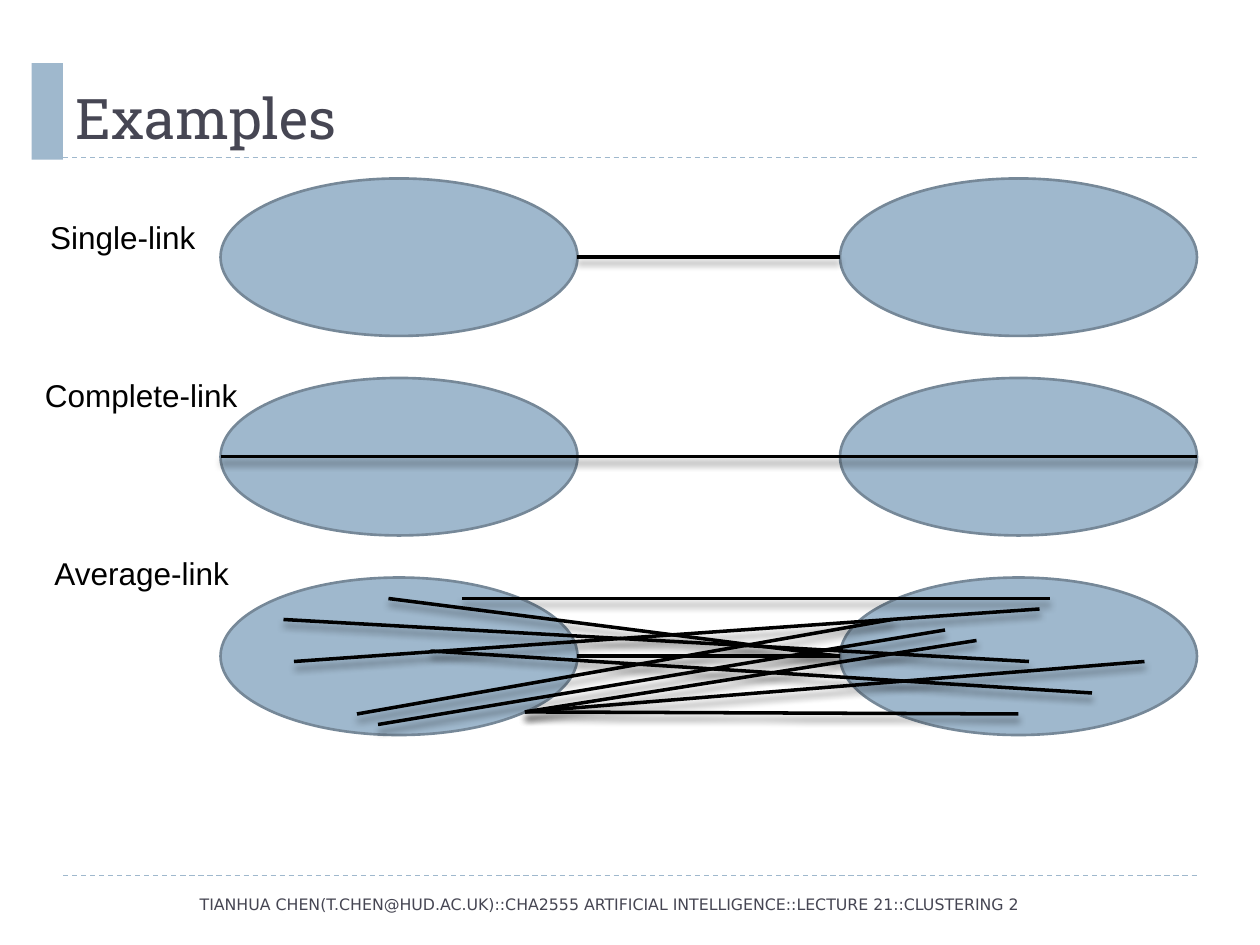
from dataclasses import dataclass

import pptx
import pptx.dml.color
import pptx.enum.dml
import pptx.enum.shapes
import pptx.enum.text
import pptx.oxml
import pptx.oxml.ns
import pptx.util

PX = 914400 // 120  # 120 px to the inch


@dataclass(frozen=True)
class Theme:
    accent: str = "9FB8CD"
    outline: str = "768898"
    heading: str = "464653"
    ink: str = "000000"
    title_font: str = "Roboto Slab"
    label_font: str = "Arial"
    footer_font: str = "DejaVu Sans"
    title_size: int = 32
    label_size: int = 18
    footer_size: int = 9


@dataclass(frozen=True)
class Box:
    left: int
    top: int
    width: int
    height: int

    def emu(self) -> list[int]:
        return [v * PX for v in (self.left, self.top, self.width, self.height)]


@dataclass(frozen=True)
class Link:
    x1: int
    y1: int
    x2: int
    y2: int


@dataclass(frozen=True)
class Linkage:
    name: str
    label: Box
    links: list[Link]


THEME = Theme()
CLUSTER_LEFTS = (210, 800)
CLUSTER_WIDTH, CLUSTER_HEIGHT = 340, 150
FIRST_ROW, ROW_PITCH = 170, 190

LINKAGES = [
    Linkage("Single-link", Box(36, 202, 164, 48), [Link(550, 245, 800, 245)]),
    Linkage("Complete-link", Box(31, 352, 209, 48), [Link(210, 435, 1140, 435)]),
    Linkage("Average-link", Box(40, 522, 192, 48), [
        Link(550, 625, 800, 625),
        Link(370, 570, 800, 625),
        Link(500, 678, 930, 610),
        Link(280, 630, 990, 580),
        Link(340, 680, 850, 590),
        Link(360, 690, 900, 600),
        Link(410, 620, 1040, 660),
        Link(440, 570, 1000, 570),
        Link(270, 590, 980, 630),
        Link(500, 678, 970, 680),
        Link(500, 678, 1090, 630),
    ]),
]

SHADOW = (
    f'<a:effectLst {pptx.oxml.ns.nsdecls("a")}>'
    '<a:outerShdw blurRad="50800" dist="43180" dir="5400000" rotWithShape="0">'
    f'<a:srgbClr val="{THEME.ink}"><a:alpha val="40000"/></a:srgbClr>'
    '</a:outerShdw></a:effectLst>'
)
NO_EFFECT = f'<a:effectLst {pptx.oxml.ns.nsdecls("a")}/>'


def rgb(value: str) -> pptx.dml.color.RGBColor:
    return pptx.dml.color.RGBColor.from_string(value)


def draw_line(slide, link: Link, color: str, width: float, effect: str):
    line = slide.shapes.add_connector(
        pptx.enum.shapes.MSO_CONNECTOR.STRAIGHT,
        link.x1 * PX, link.y1 * PX, link.x2 * PX, link.y2 * PX)
    line.line.color.rgb = rgb(color)
    line.line.width = pptx.util.Pt(width)
    line._element.spPr.append(pptx.oxml.parse_xml(effect))
    return line


def draw_shape(slide, kind, box: Box):
    shape = slide.shapes.add_shape(kind, *box.emu())
    shape.shadow.inherit = False
    shape.fill.solid()
    shape.fill.fore_color.rgb = rgb(THEME.accent)
    return shape


def draw_cluster(slide, box: Box) -> None:
    cluster = draw_shape(slide, pptx.enum.shapes.MSO_SHAPE.OVAL, box)
    cluster.line.color.rgb = rgb(THEME.outline)
    cluster.line.width = pptx.util.Pt(1.5)


def write(shape, text: str, font: str, size: int, color: str, align, anchor) -> None:
    frame = shape.text_frame
    frame.text = text
    frame.vertical_anchor = anchor
    paragraph = frame.paragraphs[0]
    paragraph.alignment = align
    paragraph.font.name = font
    paragraph.font.size = pptx.util.Pt(size)
    paragraph.font.color.rgb = rgb(color)


def main() -> None:
    align = pptx.enum.text.PP_ALIGN
    anchor = pptx.enum.text.MSO_ANCHOR
    auto_size = pptx.enum.text.MSO_AUTO_SIZE

    deck = pptx.Presentation()
    deck.slide_width, deck.slide_height = 1200 * PX, 900 * PX
    slide = deck.slides.add_slide(deck.slide_layouts[5])

    # Rules and accent block
    for y in (834, 150):
        rule = draw_line(slide, Link(60, y, 1140, y), THEME.accent, 0.75, NO_EFFECT)
        rule.line.dash_style = pptx.enum.dml.MSO_LINE.DASH
    accent_block = draw_shape(
        slide, pptx.enum.shapes.MSO_SHAPE.RECTANGLE, Box(30, 60, 30, 92))
    accent_block.line.fill.background()

    # Title
    title = slide.shapes.title
    title.left, title.top, title.width, title.height = Box(60, 30, 1080, 120).emu()
    write(title, "Examples", THEME.title_font, THEME.title_size, THEME.heading,
          align.LEFT, anchor.BOTTOM)
    title.text_frame.auto_size = auto_size.NONE

    # One pair of clusters with its links and label per linkage
    for row, linkage in enumerate(LINKAGES):
        top = FIRST_ROW + row * ROW_PITCH
        for left in CLUSTER_LEFTS:
            draw_cluster(slide, Box(left, top, CLUSTER_WIDTH, CLUSTER_HEIGHT))
        for link in linkage.links:
            draw_line(slide, link, THEME.ink, 2, SHADOW)
        label = slide.shapes.add_textbox(*linkage.label.emu())
        write(label, linkage.name, THEME.label_font, THEME.label_size, THEME.ink,
              align.LEFT, anchor.TOP)
        label.text_frame.word_wrap = False
        label.text_frame.auto_size = auto_size.SHAPE_TO_FIT_TEXT

    # Footer
    footer = slide.shapes.add_textbox(*Box(24, 835, 1112, 53).emu())
    write(footer,
          "TIANHUA CHEN(T.CHEN@HUD.AC.UK)::CHA2555 ARTIFICIAL INTELLIGENCE"
          "::LECTURE 21::CLUSTERING 2",
          THEME.footer_font, THEME.footer_size, THEME.heading,
          align.CENTER, anchor.MIDDLE)
    footer.text_frame.word_wrap = True

    deck.save("out.pptx")


if __name__ == "__main__":
    main()
